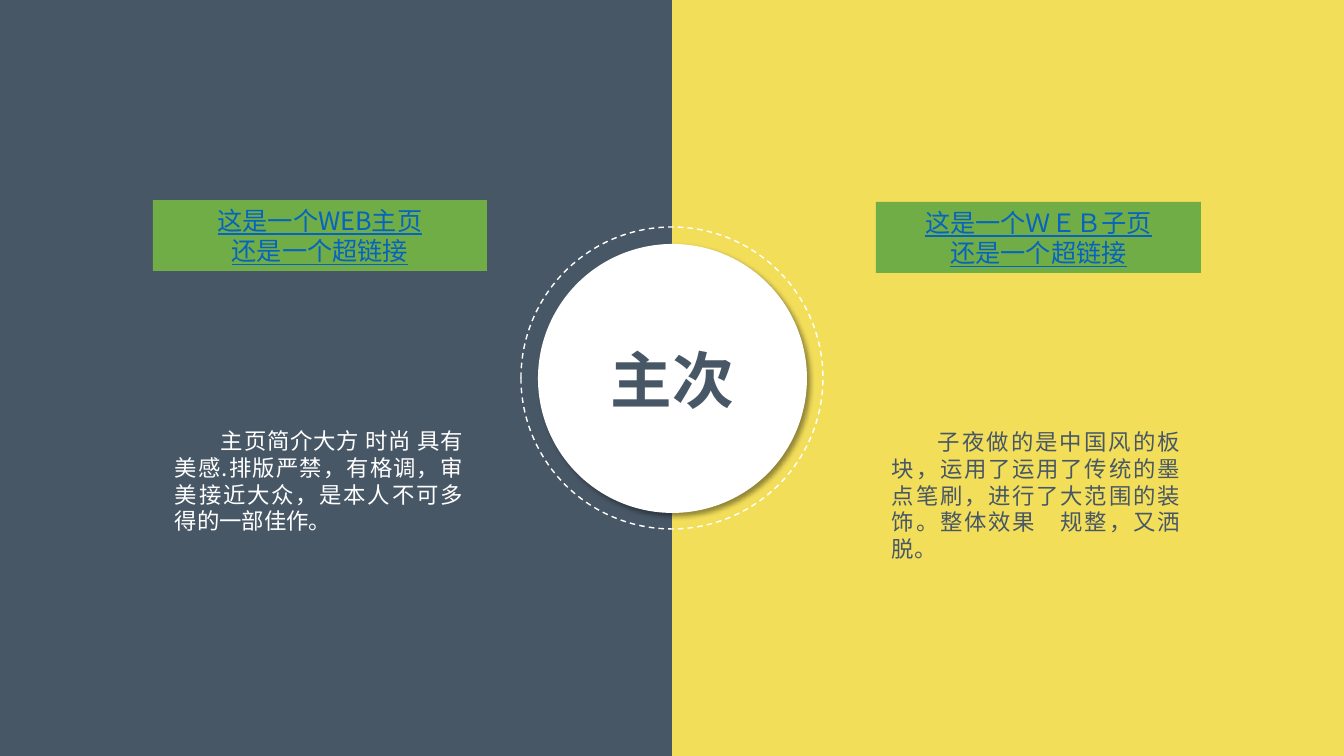
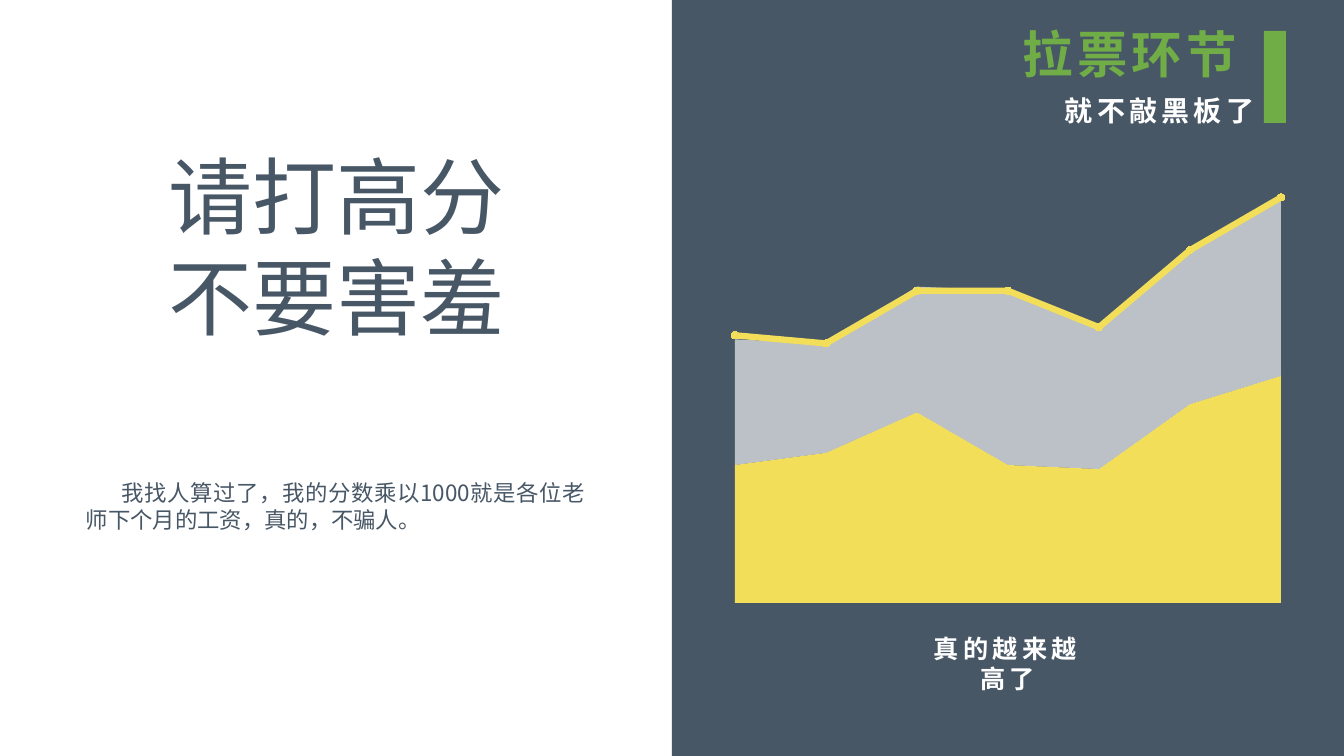
"""Build a two-slide deck: a main/secondary page comparison and a vote appeal with a chart."""
from lxml import etree
from pptx import Presentation
from pptx import util as u
from pptx.chart import data as chart_data
from pptx.dml import color
from pptx.enum import chart as charts, dml, shapes, text
from pptx.oxml import parse_xml
from pptx.oxml import ns

PX = 914400 / 100.8
WIDTH, HEIGHT, HALF = 1344, 756, 672
COLORS = {"slate": "485766", "yellow": "F3DE5A", "green": "70AD47",
          "white": "FFFFFF", "link": "0563C1", "black": "000000"}
SANS = "Noto Sans CJK SC"
ALIGN = text.PP_ALIGN
SHAPE = shapes.MSO_SHAPE


def px(*lengths):
    return [u.Emu(round(n * PX)) for n in lengths]


def rgb(name):
    return color.RGBColor.from_string(COLORS[name])


def add_block(slide, box, kind=None, fill=None, lines=(), size=16, tint="white", font=SANS,
              bold=False, underline=False, align=ALIGN.LEFT, anchor=text.MSO_ANCHOR.TOP,
              indent=0, tracking=0):
    """Add a text box, or a preset shape when kind is given, with uniformly formatted lines."""
    if kind is None:
        block = slide.shapes.add_textbox(*px(*box))
    else:
        block = slide.shapes.add_shape(kind, *px(*box))
        block.shadow.inherit = False
        block.line.fill.background()
        if fill:
            block.fill.solid()
            block.fill.fore_color.rgb = rgb(fill)
        else:
            block.fill.background()
    frame = block.text_frame
    frame.word_wrap = True
    frame.vertical_anchor = anchor
    for i, line in enumerate(lines):
        paragraph = frame.add_paragraph() if i else frame.paragraphs[0]
        paragraph.alignment = align
        if indent:
            paragraph._p.get_or_add_pPr().set("indent", str(px(indent)[0]))
        run = paragraph.add_run()
        run.text = line
        run.font.size = u.Pt(size)
        run.font.bold = bold
        run.font.underline = underline
        run.font.color.rgb = rgb(tint)
        run.font.name = font
        properties = run._r.get_or_add_rPr()
        etree.SubElement(properties, ns.qn("a:ea"), typeface=font)
        if tracking:
            properties.set("spc", str(tracking * 100))
    return block


deck = Presentation()
deck.slide_width, deck.slide_height = px(WIDTH, HEIGHT)
blank = deck.slide_layouts[6]

compare = deck.slides.add_slide(blank)
for left, fill in ((HALF, "yellow"), (0, "slate")):
    add_block(compare, (left, 0, HALF, HEIGHT), SHAPE.RECTANGLE, fill)

ring = add_block(compare, (521, 227, 302, 302), SHAPE.OVAL)
ring.line.color.rgb = rgb("white")
ring.line.width = u.Pt(1)
ring.line.dash_style = dml.MSO_LINE.DASH

hub = add_block(compare, (538, 244, 269, 269), SHAPE.OVAL, "white", ["主次"], size=44,
                tint="slate", bold=True, align=ALIGN.CENTER, anchor=text.MSO_ANCHOR.MIDDLE)
effects = hub._element.spPr.find(ns.qn("a:effectLst"))
effects.append(parse_xml(
    f'<a:outerShdw {ns.nsdecls("a")} blurRad="{u.Pt(4)}" dist="{u.Pt(3)}" dir="2700000" '
    f'algn="tl" rotWithShape="0"><a:srgbClr val="{COLORS["black"]}"><a:alpha val="40000"/>'
    '</a:srgbClr></a:outerShdw>'))

pages = [
    ((165, 422, 308, 119), "white", 46,
     "主页简介大方 时尚 具有美感.排版严禁，有格调，审美接近大众，是本人不可多得的一部佳作。",
     (153, 200, 334, 71), "这是一个WEB主页"),
    ((882, 423, 308, 146), "slate", 46,
     "子夜做的是中国风的板块，运用了运用了传统的墨点笔刷，进行了大范围的装饰。整体效果　规整，又洒脱。",
     (876, 202, 325, 71), "这是一个ＷＥＢ子页"),
]
for intro_box, tint, indent, intro, label_box, label in pages:
    add_block(compare, intro_box, lines=[intro], tint=tint, align=ALIGN.JUSTIFY, indent=indent)
    add_block(compare, label_box, SHAPE.RECTANGLE, "green", [label, "还是一个超链接"], size=18,
              tint="link", font="Noto Sans CJK JP", underline=True, align=ALIGN.CENTER)

appeal = deck.slides.add_slide(blank)
add_block(appeal, (HALF, 0, HALF, HEIGHT), SHAPE.RECTANGLE, "slate")

scores = chart_data.CategoryChartData()
scores.categories = [str(n) for n in range(1, 8)]
scores.add_series("Series 1", (34, 37, 47, 34, 33, 49, 56))
scores.add_series("Series 2", (31, 27, 31, 43, 35, 38, 44))
scores.add_series("Series 3", (66, 64, 77, 77, 68, 87, 100))
trend = appeal.shapes.add_chart(charts.XL_CHART_TYPE.AREA_STACKED,
                                *px(676, 143, 663, 470), scores).chart
trend.has_legend = False
trend.has_title = False
trend.font.size = u.Pt(10)
trend.font.name = "Calibri"
trend.font.color.rgb = rgb("black")
for axis in (trend.category_axis, trend.value_axis):
    axis.has_major_gridlines = False
    axis.visible = False
trend.value_axis.minimum_scale = 0
trend.value_axis.maximum_scale = 110

areas = trend.plots[0]
areas.vary_by_categories = False
for series, fill in zip(areas.series, ("yellow", "white")):
    series.format.fill.solid()
    series.format.fill.fore_color.rgb = rgb(fill)
veil = areas.series[1]._element.find(".//" + ns.qn("a:srgbClr"))
etree.SubElement(veil, ns.qn("a:alpha"), val="63000")

area_xml = areas._element
line_xml = parse_xml(f'<c:lineChart {ns.nsdecls("c")}><c:grouping val="standard"/>'
                     '<c:varyColors val="0"/></c:lineChart>')
line_xml.append(areas.series[2]._element)
etree.SubElement(line_xml, ns.qn("c:marker"), val="1")
for axis_id in area_xml.findall(ns.qn("c:axId")):
    etree.SubElement(line_xml, ns.qn("c:axId"), val=axis_id.get("val"))
area_xml.addnext(line_xml)

total = trend.plots[1].series[0]
total.smooth = False
total.format.line.color.rgb = rgb("yellow")
total.format.line.width = u.Pt(4.5)
total.marker.style = charts.XL_MARKER_STYLE.CIRCLE
total.marker.size = 5
total.marker.format.fill.solid()
total.marker.format.fill.fore_color.rgb = rgb("yellow")
total.marker.format.line.color.rgb = rgb("yellow")

plot_area = area_xml.getparent()
plot_area.find(".//" + ns.qn("c:crossBetween")).set("val", "midCat")
for old in plot_area.findall(ns.qn("c:layout")):
    plot_area.remove(old)
layout = etree.Element(ns.qn("c:layout"))
manual = etree.SubElement(layout, ns.qn("c:manualLayout"))
for tag, value in (("layoutTarget", "inner"), ("xMode", "edge"), ("yMode", "edge"),
                   ("x", 59 / 663), ("y", 14 / 470), ("w", 546 / 663), ("h", 446 / 470)):
    etree.SubElement(manual, ns.qn("c:" + tag), val=str(value))
plot_area.insert(0, layout)

add_block(appeal, (924, 628, 167, 71), lines=["真的越来越高了"], size=18, bold=True,
          align=ALIGN.CENTER, tracking=3)
add_block(appeal, (1013, 18, 331, 71), lines=["拉票环节"], size=36, tint="green", bold=True,
          tracking=3)
add_block(appeal, (1055, 89, 289, 44), lines=["就不敲黑板了"], size=20, bold=True, tracking=3)
add_block(appeal, (1264, 31, 22, 92), SHAPE.RECTANGLE, "green")
add_block(appeal, (159, 140, 519, 214), lines=["请打高分", "不要害羞"], size=60, tint="slate",
          align=ALIGN.JUSTIFY)
add_block(appeal, (76, 474, 519, 64), tint="slate", align=ALIGN.JUSTIFY, indent=36,
          lines=["我找人算过了，我的分数乘以1000就是各位老师下个月的工资，真的，不骗人。"])

deck.save("out.pptx")
